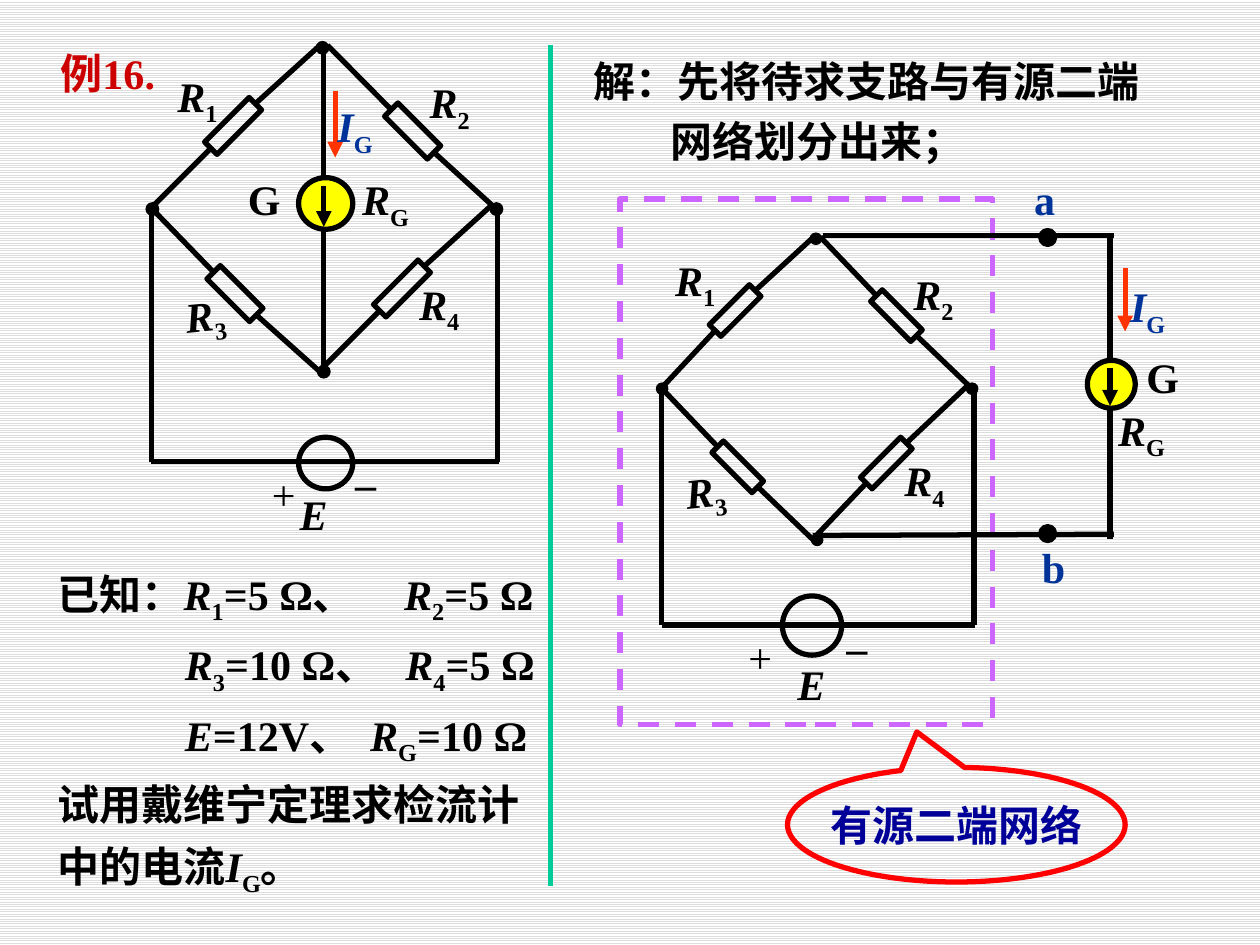
from dataclasses import dataclass
from itertools import cycle
from math import cos, radians, sin

from lxml import etree
from pptx import Presentation
from pptx.dml.color import RGBColor
from pptx.enum.dml import MSO_LINE, MSO_PATTERN
from pptx.enum.shapes import MSO_CONNECTOR, MSO_SHAPE
from pptx.enum.text import MSO_ANCHOR, MSO_AUTO_SIZE, PP_ALIGN
from pptx.oxml.ns import qn
from pptx.util import Inches, Pt

RECT, OVAL = MSO_SHAPE.RECTANGLE, MSO_SHAPE.OVAL
CALLOUT = MSO_SHAPE.OVAL_CALLOUT
STRAIGHT = MSO_CONNECTOR.STRAIGHT
LEFT, CENTER = PP_ALIGN.LEFT, PP_ALIGN.CENTER
MIDDLE, BOTTOM = MSO_ANCHOR.MIDDLE, MSO_ANCHOR.BOTTOM
GROW, FIXED = MSO_AUTO_SIZE.SHAPE_TO_FIT_TEXT, MSO_AUTO_SIZE.NONE
DASH, STRIPES = MSO_LINE.DASH, MSO_PATTERN.LIGHT_HORIZONTAL


@dataclass(frozen=True)
class Theme:
    font: str = "Times New Roman"
    size: int = 24
    weight: float = 3
    ink: str = "000000"
    paper: str = "FFFFFF"
    stripe: str = "DDDDDD"
    title: str = "CC0000"
    divider: str = "00CC99"
    frame: str = "CC66FF"
    callout: str = "FF0000"
    callout_text: str = "000099"
    current: str = "FF3300"
    label: str = "003399"
    meter: str = "FFFF00"


theme = Theme()


def write_spans(para, marked, color=theme.ink):
    for piece, style in zip(marked.split("|"), cycle(("plain", "italic", "sub"))):
        if not piece:
            continue
        span = para.add_run()
        span.text = piece
        span.font.name = theme.font
        span.font.size = Pt(theme.size)
        span.font.bold = piece != "+"
        span.font.italic = style == "italic"
        span.font.color.rgb = RGBColor.from_string(color)
        if style == "sub":
            span._r.get_or_add_rPr().set("baseline", "-25000")


def add_outline(kind, place, fill=None, line=theme.ink, weight=theme.weight):
    shape = page.shapes.add_shape(kind, *map(Inches, place))
    shape.shadow.inherit = False
    if fill:
        shape.fill.solid()
        shape.fill.fore_color.rgb = RGBColor.from_string(fill)
    else:
        shape.fill.background()
    shape.line.color.rgb = RGBColor.from_string(line)
    shape.line.width = Pt(weight)
    return shape


deck = Presentation()
deck.slide_width, deck.slide_height = Inches(10), Inches(7.5)
page = deck.slides.add_slide(deck.slide_layouts[5])
backdrop = page.background.fill
backdrop.patterned()
backdrop.pattern = STRIPES
backdrop.fore_color.rgb = RGBColor.from_string(theme.stripe)
backdrop.back_color.rgb = RGBColor.from_string(theme.paper)

title = page.shapes.title
title.left, title.top, title.width, title.height = map(Inches, (0.38, 0.08, 1.18, 0.75))
title.text_frame.auto_size = FIXED
title.text_frame.vertical_anchor = BOTTOM
title.text_frame.paragraphs[0].alignment = LEFT
write_spans(title.text_frame.paragraphs[0], "例16.", theme.title)

passages = [
    ((0.36, 4.37, 4.17, 2.59), 1, [
        ("已知：|R|1|=5 Ω、\t|R|2|=5 Ω", 0, (2.75,)),
        ("\t|R|3|=10 Ω、\t|R|4|=5 Ω", 0, (1.01, 2.76)),
        ("\t|E||=12V、\t|R|G|=10 Ω", 0, (1.01, 2.48)),
        ("试用戴维宁定理求检流计中的电流|I|G|。", 0, ()),
    ]),
    ((4.61, 0.31, 4.77, 1.02), 0, [
        ("解：先将待求支路与有源二端", 0, ()),
        ("网络划分出来；", 0.61, ()),
    ]),
]
for place, gap, lines in passages:
    box = page.shapes.add_textbox(*map(Inches, place))
    frame = box.text_frame
    frame.word_wrap = True
    frame.auto_size = GROW
    for index, (marked, margin, stops) in enumerate(lines):
        para = frame.add_paragraph() if index else frame.paragraphs[0]
        properties = para._p.get_or_add_pPr()
        properties.set("marL", str(Inches(margin)))
        if stops:
            tabs = etree.SubElement(properties, qn("a:tabLst"))
            for stop in stops:
                etree.SubElement(tabs, qn("a:tab"), pos=str(Inches(stop)), algn="l")
        para.line_spacing = 1.2
        if index:
            para.space_before = Pt(gap)
        write_spans(para, marked)

network_frame = add_outline(RECT, (4.92, 1.58, 2.96, 4.17), line=theme.frame)
network_frame.line.dash_style = DASH
callout = add_outline(CALLOUT, (6.25, 6.09, 2.68, 0.91), line=theme.callout)
callout.adjustments[0], callout.adjustments[1] = -0.117, -0.809
callout.text_frame.word_wrap = False
callout.text_frame.vertical_anchor = MIDDLE
callout.text_frame.paragraphs[0].alignment = CENTER
write_spans(callout.text_frame.paragraphs[0], "有源二端网络", theme.callout_text)

resistors = [
    ((1.78, 0.75, 0.14, 0.5), 45, (2.55, 0.35), (1.2, 1.65)),
    ((3.2, 0.8, 0.15, 0.48), 315, (2.6, 0.36), (3.95, 1.67)),
    ((1.79, 2.09, 0.15, 0.48), 315, (1.2, 1.65), (2.55, 2.96)),
    ((3.12, 2.04, 0.14, 0.5), 45, (3.89, 1.64), (2.54, 2.94)),
    ((5.77, 2.24, 0.13, 0.45), 45, (6.47, 1.87), (5.25, 3.08)),
    ((7.05, 2.28, 0.13, 0.45), 315, (6.51, 1.88), (7.73, 3.1)),
    ((5.79, 3.48, 0.13, 0.45), 315, (5.25, 3.08), (6.47, 4.3)),
    ((6.97, 3.45, 0.13, 0.45), 45, (7.67, 3.07), (6.45, 4.28)),
]
leads = []
for place, angle, upper, lower in resistors:
    resistor = add_outline(RECT, place)
    resistor.rotation = angle
    left, top, width, height = place
    across, down = sin(radians(angle)) * height / 2, cos(radians(angle)) * height / 2
    middle_x, middle_y = left + width / 2, top + height / 2
    leads.append(((middle_x + across, middle_y - down), upper, theme.ink, False, (resistor, 0)))
    leads.append(((middle_x - across, middle_y + down), lower, theme.ink, False, (resistor, 2)))

for place, fill in [
    ((2.37, 1.41, 0.43, 0.41), theme.meter), ((2.37, 3.47, 0.43, 0.41), None),
    ((8.63, 2.86, 0.38, 0.38), theme.meter), ((6.21, 4.73, 0.47, 0.47), None),
    ((8.26, 1.83, 0.11, 0.11), theme.ink), ((8.26, 4.18, 0.11, 0.11), theme.ink),
]:
    add_outline(OVAL, place, fill)

for diameter, corners in [
    (0.1, [(2.51, 0.33), (1.16, 1.61), (3.89, 1.61), (2.52, 2.9)]),
    (0.09, [(6.43, 1.85), (5.21, 3.04), (7.67, 3.04), (6.44, 4.24)]),
]:
    for corner in corners:
        add_outline(OVAL, (*corner, diameter, diameter), theme.ink, weight=0.75)

wires = [
    ((2.57, 1.41), (2.57, 0.36)), ((2.57, 1.81), (2.57, 2.94)),
    ((1.2, 1.64), (1.2, 3.67)), ((3.95, 1.65), (3.95, 3.67)), ((3.96, 3.66), (1.2, 3.66)),
    ((8.81, 2.86), (8.81, 1.88)), ((8.81, 3.23), (8.81, 4.28)),
    ((5.25, 3.07), (5.25, 4.96)), ((7.73, 3.08), (7.73, 4.96)), ((7.74, 4.96), (5.25, 4.96)),
    ((6.53, 1.87), (8.84, 1.87)), ((6.45, 4.25), (8.84, 4.24)),
]
leads += [(start, end, theme.ink, False, None) for start, end in wires]
leads += [
    ((4.37, 0.36), (4.37, 7.03), theme.divider, False, None),
    ((2.57, 1.48), (2.57, 1.8), theme.ink, True, None),
    ((8.81, 2.92), (8.81, 3.22), theme.ink, True, None),
    ((2.66, 0.72), (2.66, 1.25), theme.current, True, None),
    ((8.93, 2.13), (8.93, 2.63), theme.current, True, None),
]
for start, end, color, arrow, joint in leads:
    wire = page.shapes.add_connector(STRAIGHT, *map(Inches, start + end))
    wire.line.color.rgb = RGBColor.from_string(color)
    wire.line.width = Pt(theme.weight)
    if joint:
        wire.begin_connect(*joint)
        wire.begin_x, wire.begin_y = map(Inches, start)
    if arrow:
        etree.SubElement(wire.line._get_or_add_ln(), qn("a:tailEnd"), type="triangle")
    etree.SubElement(wire._element.spPr, qn("a:effectLst"))

labels = [
    ("|R|1", 1.31, 0.51, 0.54, 0), ("|R|2", 3.31, 0.56, 0.54, 359.7),
    ("|R|3", 1.37, 2.24, 0.64, 353.9), ("|R|4", 3.23, 2.16, 0.54, 0.5),
    ("|R|G", 2.76, 1.33, 0.6, 0), ("|I|G", 2.58, 0.75, 0.51, 0), ("G", 1.87, 1.33, 0.47, 0),
    ("|E", 2.28, 3.83, 0.67, 0), ("+", 2.06, 3.67, 0.39, 0), ("–", 2.72, 3.58, 0.37, 0),
    ("|R|1", 5.26, 1.97, 0.54, 0), ("|R|2", 7.15, 2.08, 0.54, 359.7),
    ("|R|3", 5.34, 3.63, 0.75, 353.9), ("|R|4", 7.08, 3.56, 0.54, 0.5),
    ("|R|G", 8.76, 3.16, 0.6, 0), ("|I|G", 8.87, 2.18, 0.51, 0), ("G", 9, 2.74, 0.47, 0),
    ("|E", 6.23, 5.18, 0.6, 0), ("+", 5.84, 4.96, 0.39, 0), ("–", 6.62, 4.88, 0.37, 0),
    ("a", 8.11, 1.33, 0.37, 0), ("b", 8.17, 4.25, 0.39, 0),
]
for marked, left, top, width, angle in labels:
    box = page.shapes.add_textbox(*map(Inches, (left, top, width, 0.51)))
    box.rotation = angle
    box.text_frame.word_wrap = marked in ("|E", "|R|3")
    box.text_frame.auto_size = GROW
    para = box.text_frame.paragraphs[0]
    para.alignment = CENTER if marked == "|R|G" else LEFT
    write_spans(para, marked, theme.label if marked in ("a", "b", "|I|G") else theme.ink)

deck.save("out.pptx")
